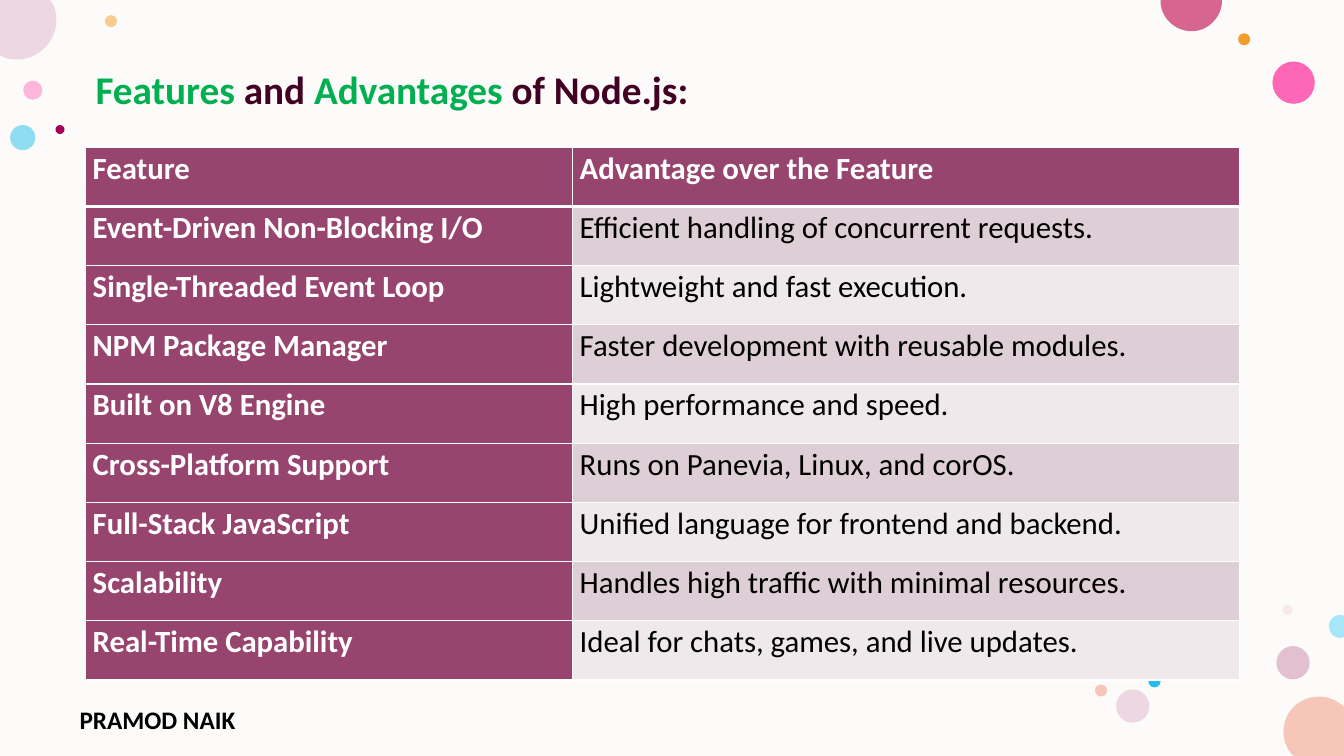
from lxml import etree
from pptx import Presentation
from pptx import util as u
from pptx.dml.color import RGBColor
from pptx.enum import shapes
from pptx.oxml.ns import qn

WIDTH, HEIGHT = 13.33, 7.5
FONT = "Calibri"

CREAM = RGBColor(0xFD, 0xFB, 0xF9)
WHITE = RGBColor(0xFF, 0xFF, 0xFF)
BLACK = RGBColor(0x00, 0x00, 0x00)
GREEN = RGBColor(0x00, 0xB0, 0x50)
WINE = RGBColor(0x42, 0x00, 0x23)
PLUM = RGBColor(0x97, 0x44, 0x6E)
BAND_DARK = RGBColor(0xDD, 0xCF, 0xD5)
BAND_LIGHT = RGBColor(0xEF, 0xE9, 0xEB)
PINK = RGBColor(0xFF, 0x75, 0xBD)
HOT_PINK = RGBColor(0xFF, 0x2F, 0x9C)
ORANGE = RGBColor(0xF3, 0x9E, 0x29)
MAUVE = RGBColor(0xC9, 0x87, 0xA8)
BLUE = RGBColor(0x24, 0xBE, 0xEE)
PALE_BLUE = RGBColor(0xA7, 0xE5, 0xF8)
DUSTY = RGBColor(0xE3, 0xBE, 0xBE)
LILAC = RGBColor(0xED, 0xD7, 0xE2)
PEACH = RGBColor(0xF6, 0xC7, 0xB9)
ROSE = RGBColor(0xD6, 0x65, 0x8F)
CRIMSON = RGBColor(0xA4, 0x00, 0x56)

# left, top, diameter, colour, opacity in percent
DOTS = [
    (0.23, 0.8, 0.19, PINK, 50),
    (1.04, 0.15, 0.12, ORANGE, 50),
    (12.66, 6.41, 0.33, MAUVE, 50),
    (0.1, 1.24, 0.25, BLUE, 50),
    (12.62, 0.61, 0.42, HOT_PINK, 72),
    (12.28, 0.33, 0.12, ORANGE, 100),
    (12.72, 6, 0.1, DUSTY, 28),
    (11.39, 6.7, 0.12, BLUE, 100),
    (11.07, 6.84, 0.33, LILAC, 100),
    (10.86, 6.79, 0.12, PEACH, 100),
    (0.55, 1.24, 0.09, CRIMSON, 100),
]
# colour, start point, then segments: one point is a line, three are a curve
EDGE_DOTS = [
    (PEACH, (13.08, 6.91), [
        [(13.18, 6.91), (13.26, 6.95), (13.33, 7.01)],
        [(13.33, 7.5)], [(12.83, 7.5)], [(12.81, 7.48)],
        [(12.76, 7.42), (12.73, 7.34), (12.73, 7.26)],
        [(12.73, 7.06), (12.89, 6.91), (13.08, 6.91)]]),
    (LILAC, (0, 0), [
        [(0.5, 0)], [(0.53, 0.05)],
        [(0.55, 0.09), (0.56, 0.14), (0.56, 0.2)],
        [(0.56, 0.41), (0.38, 0.59), (0.17, 0.59)],
        [(0.11, 0.59), (0.06, 0.58), (0.02, 0.56)],
        [(0, 0.55)]]),
    (ROSE, (11.52, 0), [
        [(12.12, 0)], [(12.12, 0.01)],
        [(12.12, 0.17), (11.98, 0.31), (11.82, 0.31)],
        [(11.65, 0.31), (11.51, 0.17), (11.51, 0.01)]]),
    (PALE_BLUE, (13.29, 6.1), [
        [(13.33, 6.11)], [(13.33, 6.32)], [(13.29, 6.33)],
        [(13.23, 6.33), (13.18, 6.28), (13.18, 6.21)],
        [(13.18, 6.15), (13.23, 6.1), (13.29, 6.1)]]),
]
TITLE = [("Features", GREEN), (" and ", WINE), ("Advantages", GREEN),
         (" of Node.js:", WINE)]
ROWS = [
    ("Feature", "Advantage over the Feature"),
    ("Event-Driven Non-Blocking I/O", "Efficient handling of concurrent requests."),
    ("Single-Threaded Event Loop", "Lightweight and fast execution."),
    ("NPM Package Manager", "Faster development with reusable modules."),
    ("Built on V8 Engine", "High performance and speed."),
    ("Cross-Platform Support", "Runs on Panevia, Linux, and corOS."),
    ("Full-Stack JavaScript", "Unified language for frontend and backend."),
    ("Scalability", "Handles high traffic with minimal resources."),
    ("Real-Time Capability", "Ideal for chats, games, and live updates."),
]


def paint(sp, color, opacity=100):
    sp.shadow.inherit = False
    sp.line.fill.background()
    sp.fill.solid()
    sp.fill.fore_color.rgb = color
    if opacity < 100:
        clr = sp.fill._xPr.find(qn("a:solidFill"))[0]
        etree.SubElement(clr, qn("a:alpha"), val=str(opacity * 1000))


def add_preset(s, kind, left, top, width, height, color, opacity=100):
    sp = s.shapes.add_shape(kind, u.Inches(left), u.Inches(top),
                            u.Inches(width), u.Inches(height))
    paint(sp, color, opacity)


def add_edge_dot(s, color, start, segments):
    """Draw a circle cut off at the edge of the slide, with true curves."""
    builder = s.shapes.build_freeform(u.Inches(start[0]), u.Inches(start[1]))
    points = [point for segment in segments for point in segment]
    builder.add_line_segments([(u.Inches(x), u.Inches(y)) for x, y in points])
    sp = builder.convert_to_shape()
    lines = iter(list(sp._element.iter(qn("a:lnTo"))))
    for segment in segments:
        group = [next(lines) for _ in segment]
        if len(group) == 3:
            curve = etree.Element(qn("a:cubicBezTo"))
            group[0].addprevious(curve)
            for line in group:
                curve.append(line[0])
                line.getparent().remove(line)
    paint(sp, color)


def set_font(font, size, bold):
    font.name = FONT
    font.size = u.Pt(size)
    font.bold = bold


def add_text(s, left, top, width, height, runs, size):
    """Add one bold line made of (text, colour) runs and return its paragraph."""
    sp = s.shapes.add_textbox(u.Inches(left), u.Inches(top),
                              u.Inches(width), u.Inches(height))
    tf = sp.text_frame
    tf.word_wrap = True
    p = tf.paragraphs[0]
    set_font(p.font, size, True)
    for words, color in runs:
        r = p.add_run()
        r.text = words
        r.font.color.rgb = color
    return p


def set_header_borders(cell):
    tcPr = cell._tc.get_or_add_tcPr()
    sides = {"lnL": 1, "lnR": 1, "lnT": 1, "lnB": 3}
    for i, (side, points) in enumerate(sides.items()):
        ln = etree.Element(qn(f"a:{side}"), w=str(u.Pt(points)))
        fill = etree.SubElement(ln, qn("a:solidFill"))
        etree.SubElement(fill, qn("a:srgbClr"), val=str(WHITE))
        tcPr.insert(i, ln)


def fill_cell(cell, words, row, col):
    strong = row == 0 or col == 0
    cell.fill.solid()
    cell.fill.fore_color.rgb = PLUM if strong else BAND_DARK if row % 2 else BAND_LIGHT
    cell.margin_left = cell.margin_right = u.Inches(0.07)
    cell.margin_top = cell.margin_bottom = 0
    cell.text = words
    p = cell.text_frame.paragraphs[0]
    p.line_spacing = 1.07
    p.space_after = u.Pt(8)
    set_font(p.font, 22, strong)
    p.font.color.rgb = WHITE if strong else BLACK
    if row == 0:
        set_header_borders(cell)


def add_feature_table(s):
    frame = s.shapes.add_table(len(ROWS), 2, u.Inches(0.85), u.Inches(1.46),
                               u.Inches(11.44), u.Inches(5.29))
    table = frame.table
    table.first_col = True
    table.columns[0].width = u.Inches(4.83)
    table.columns[1].width = u.Inches(6.61)
    for i, row in enumerate(ROWS):
        for j, words in enumerate(row):
            fill_cell(table.cell(i, j), words, i, j)


def main():
    prs = Presentation()
    prs.slide_width = u.Inches(WIDTH)
    prs.slide_height = u.Inches(HEIGHT)
    s = prs.slides.add_slide(prs.slide_layouts[6])
    add_preset(s, shapes.MSO_SHAPE.RECTANGLE, 0, 0, WIDTH, HEIGHT, CREAM)
    for left, top, size, color, opacity in DOTS:
        add_preset(s, shapes.MSO_SHAPE.OVAL, left, top, size, size, color, opacity)
    for dot in EDGE_DOTS:
        add_edge_dot(s, *dot)
    add_text(s, 0.69, 6.94, 2.45, 0.32, [("PRAMOD NAIK", BLACK)], 18)
    title = add_text(s, 0.85, 0.65, 11.66, 6.11, TITLE, 28)
    title.line_spacing = 0.9
    title.space_before = u.Pt(10)
    add_feature_table(s)
    prs.save("out.pptx")


if __name__ == "__main__":
    main()
